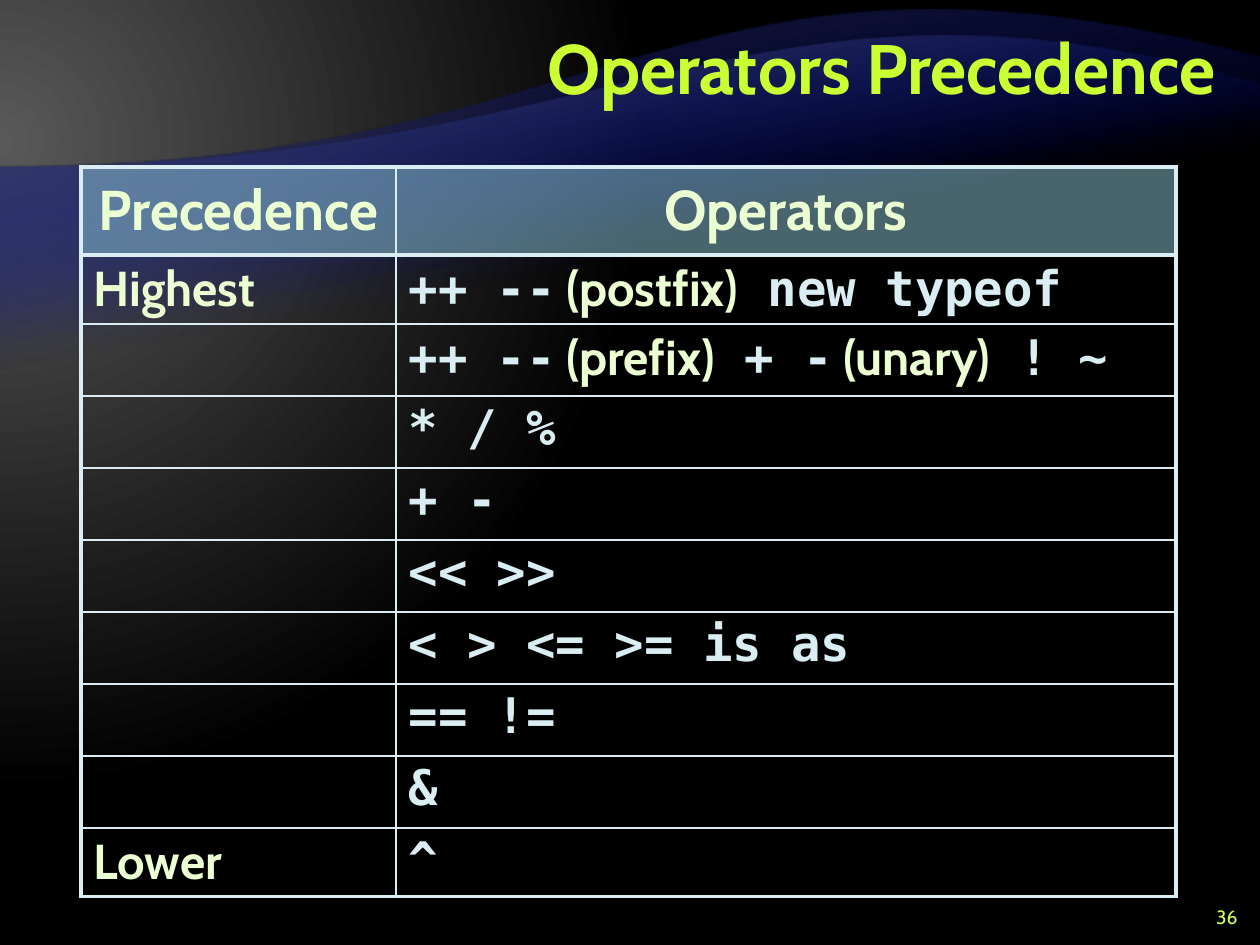
"""Build the operators precedence slide."""
from dataclasses import dataclass

import pptx
import pptx.dml.color
import pptx.enum.text
import pptx.oxml
import pptx.oxml.ns
import pptx.util

PX = 914400 / 126
ALIGN = pptx.enum.text.PP_ALIGN
MIDDLE = pptx.enum.text.MSO_ANCHOR.MIDDLE


@dataclass(frozen=True)
class Theme:
    """Colours, fonts and type sizes."""
    font: str = "Cabin"
    code_font: str = "DejaVu Sans Mono"
    title: str = "CCFF33"
    number: str = "CCFF66"
    word: str = "EBFFD2"
    code: str = "DAEDF2"
    line: str = "DAEDF2"
    header: str = "90CAD7"
    glow: str = "595959"
    dark: str = "262626"
    black: str = "000000"
    blue: str = "000D9E"
    title_size: int = 40
    header_size: int = 32
    body_size: int = 28
    number_size: int = 11
    thick: float = 2.25
    thin: float = 1


THEME = Theme()

# Operators alternate between code and plain words.
ROWS = [
    ("Highest", ["++ --", " (postfix)", " new typeof"]),
    ("", ["++ --", " (prefix)", " + -", " (unary)", " ! ~"]),
    ("", ["* / %"]),
    ("", ["+ -"]),
    ("", ["<< >>"]),
    ("", ["< > <= >= is as"]),
    ("", ["== !="]),
    ("", ["&"]),
    ("Lower", ["^"]),
]
COLUMN_WIDTHS = [315, 780]
ROW_HEIGHTS = [88, 69] + [72] * 7 + [69]


def px(n):
    """Turn pixels into EMU."""
    return pptx.util.Emu(round(n * PX))


def xml(tag, body):
    """Parse one DrawingML element."""
    ns = pptx.oxml.ns.nsdecls("a")
    return pptx.oxml.parse_xml(f"<a:{tag} {ns}>{body}</a:{tag}>")


def set_gradient(fill, parent, stops, direction):
    """Fill with gradient stops of (percent, colour, alpha percent)."""
    fill.solid()
    marks = "".join(
        f'<a:gs pos="{pos * 1000}"><a:srgbClr val="{color}">'
        f'<a:alpha val="{alpha * 1000}"/></a:srgbClr></a:gs>'
        for pos, color, alpha in stops)
    solid = parent.find(pptx.oxml.ns.qn("a:solidFill"))
    parent.replace(solid, xml("gradFill", f"<a:gsLst>{marks}</a:gsLst>{direction}"))


def add_background(s):
    """Light the slide from its left edge."""
    fill = s.background.fill
    fill.solid()
    parent = s.element.cSld.bg.bgPr
    set_gradient(
        fill, parent, [(0, THEME.glow, 100), (83, THEME.black, 100)],
        '<a:path path="circle"><a:fillToRect l="20000" t="30000" r="135000" b="100000"/></a:path>')


def add_wave(s, curve, bottom, color, steps=48):
    """Draw a wave whose top edge is a cubic curve."""
    points = []
    for i in range(steps + 1):
        t = i / steps
        weights = [(1 - t) ** 3, 3 * t * (1 - t) ** 2, 3 * t * t * (1 - t), t ** 3]
        points.append(tuple(px(sum(w * p[axis] for w, p in zip(weights, curve)))
                            for axis in (0, 1)))
    points += [(px(curve[-1][0]), px(bottom)), (px(curve[0][0]), px(bottom))]
    builder = s.shapes.build_freeform(*points[0], scale=1.0)
    builder.add_line_segments(points[1:], close=True)
    sp = builder.convert_to_shape()
    sp.shadow.inherit = False
    sp.line.fill.background()
    set_gradient(sp.fill, sp.element.spPr, [(65, THEME.blue, 0), (100, color, 100)],
                 '<a:lin ang="15600000" scaled="0"/>')


def add_run(p, text, size, color, font=THEME.font, bold=True):
    """Add one formatted run."""
    r = p.add_run()
    r.text = text
    r.font.size = pptx.util.Pt(size)
    r.font.name = font
    r.font.bold = bold
    r.font.color.rgb = pptx.dml.color.RGBColor.from_string(color)


def add_label(s, box, text, size, color, bold):
    """Add right-aligned text in a box."""
    tf = s.shapes.add_textbox(*map(px, box)).text_frame
    tf.word_wrap = True
    tf.vertical_anchor = MIDDLE
    p = tf.paragraphs[0]
    p.alignment = ALIGN.RIGHT
    p.line_spacing = pptx.util.Pt(size)
    add_run(p, text, size, color, bold=bold)


def set_borders(cell, thick_sides):
    """Draw the four sides of a cell."""
    tcPr = cell._tc.get_or_add_tcPr()
    for side in "LRTB":
        width = THEME.thick if side in thick_sides else THEME.thin
        ln = xml(f"ln{side}", f'<a:solidFill><a:srgbClr val="{THEME.line}"/></a:solidFill>')
        ln.set("w", str(pptx.util.Pt(width)))
        tcPr.append(ln)


def set_header(cell, text):
    """Fill a header cell with half-clear colour and centred text."""
    cell.fill.solid()
    cell.fill.fore_color.rgb = pptx.dml.color.RGBColor.from_string(THEME.header)
    color = cell._tc.tcPr.find(".//" + pptx.oxml.ns.qn("a:solidFill") + "[last()]")
    color = cell._tc.tcPr.find(pptx.oxml.ns.qn("a:solidFill"))[0]
    alpha = xml("alpha", "")
    alpha.set("val", "50000")
    color.append(alpha)
    cell.vertical_anchor = MIDDLE
    p = cell.text_frame.paragraphs[0]
    p.alignment = ALIGN.CENTER
    p.line_spacing = 0.95
    add_run(p, text, THEME.header_size, THEME.word)


def set_body(cell, parts, styles):
    """Write runs that alternate between styles of (colour, font)."""
    cell.fill.background()
    p = cell.text_frame.paragraphs[0]
    p.line_spacing = 0.95
    for i, text in enumerate(parts):
        add_run(p, text, THEME.body_size, *styles[i % 2])


def add_precedence_table(s):
    """Add the table of operators by precedence."""
    table = s.shapes.add_table(len(ROW_HEIGHTS), len(COLUMN_WIDTHS), px(81), px(167),
                               px(sum(COLUMN_WIDTHS)), px(sum(ROW_HEIGHTS))).table
    table.first_row = table.horz_banding = False
    for column, width in zip(table.columns, COLUMN_WIDTHS):
        column.width = px(width)
    last = len(ROW_HEIGHTS) - 1
    for i, height in enumerate(ROW_HEIGHTS):
        table.rows[i].height = px(height)
        rules = {0: "TB", 1: "T", last: "B"}.get(i, "")
        for j, side in enumerate("LR"):
            set_borders(table.cell(i, j), rules + side)
    for j, text in enumerate(["Precedence", "Operators"]):
        set_header(table.cell(0, j), text)
    word, code = (THEME.word, THEME.font), (THEME.code, THEME.code_font)
    for i, (label, parts) in enumerate(ROWS, 1):
        set_body(table.cell(i, 0), [label] if label else [], [word, code])
        table.cell(i, 0).vertical_anchor = MIDDLE
        set_body(table.cell(i, 1), parts, [code, word])


def main():
    """Build and save the slide."""
    prs = pptx.Presentation()
    prs.slide_width, prs.slide_height = px(1260), px(945)
    s = prs.slides.add_slide(prs.slide_layouts[6])
    add_background(s)
    add_wave(s, [(0, 167), (630, 167), (673, -95), (1260, 57)], 823, THEME.dark)
    add_wave(s, [(0, 167), (630, 167), (753, -62), (1260, 84)], 702, THEME.glow)
    add_label(s, (252, 10, 976, 126), "Operators Precedence",
              THEME.title_size, THEME.title, True)
    add_label(s, (1187, 903, 63, 32), "36", THEME.number_size, THEME.number, False)
    add_precedence_table(s)
    prs.save("out.pptx")


if __name__ == "__main__":
    main()
